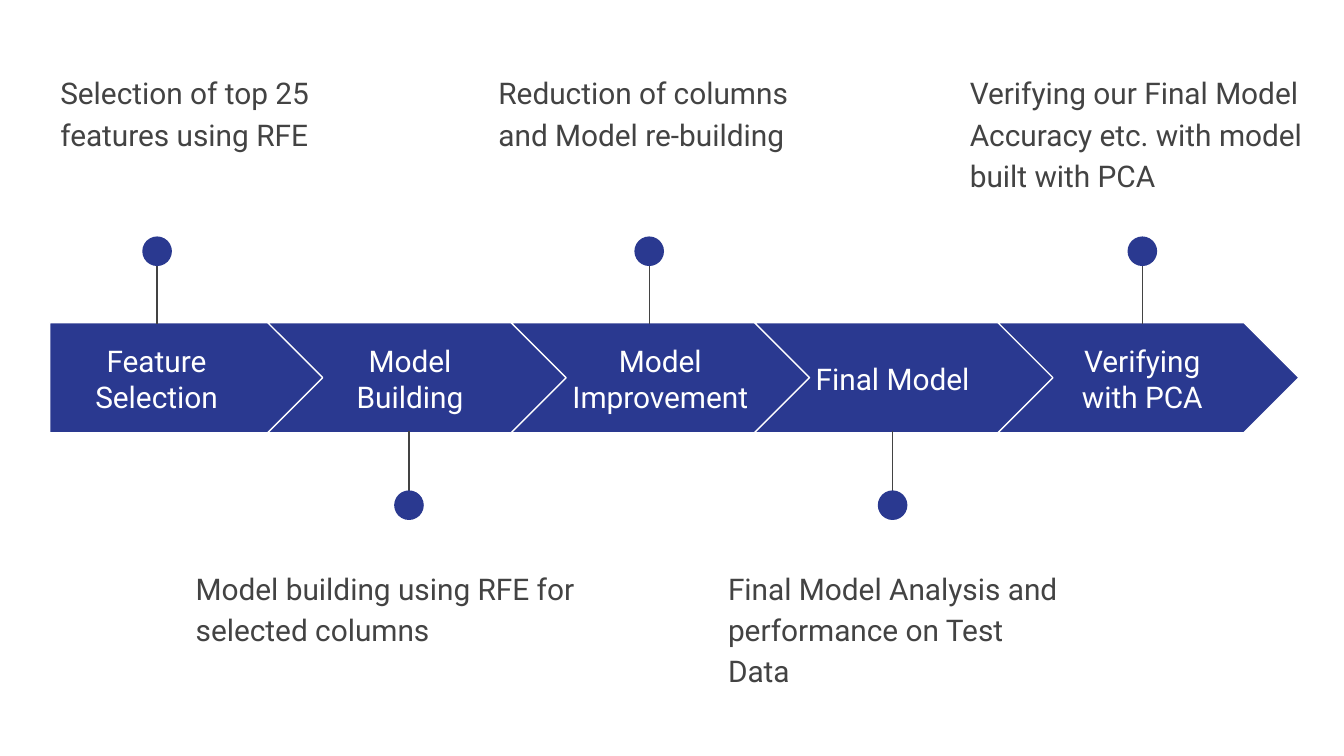
from pptx import Presentation
from pptx.dml.color import RGBColor
from pptx.enum.shapes import MSO_CONNECTOR, MSO_SHAPE
from pptx.enum.text import MSO_ANCHOR, PP_ALIGN
from pptx.oxml.ns import qn
from pptx.util import Cm, Pt

PENTAGON, CHEVRON, OVAL = MSO_SHAPE.PENTAGON, MSO_SHAPE.CHEVRON, MSO_SHAPE.OVAL
STRAIGHT = MSO_CONNECTOR.STRAIGHT
TOP, MIDDLE = MSO_ANCHOR.TOP, MSO_ANCHOR.MIDDLE
LEFT, CENTER = PP_ALIGN.LEFT, PP_ALIGN.CENTER

COLORS = {"blue": "2A3990", "white": "FFFFFF", "gray": "434343"}

BAND_TOP, BAND_HEIGHT = 6.1, 2.08
FIRST_LEFT, FIRST_WIDTH = 0.94, 5.21
CHEVRON_START, CHEVRON_STEP, CHEVRON_WIDTH = 0.46, 4.6, 5.69
LABEL_TOP, LABEL_HEIGHT = 6.5, 1.3
NOTE_HEIGHT, DOT_SIZE = 2.51, 0.56

# Vertical places of the pin and note, above and below the band
ABOVE = {"line": (4.57, 6.12), "dot": 4.47, "note": 1.07}
BELOW = {"line": (9.7, 8.15), "dot": 9.27, "note": 10.44}

# label, label left, label width, pin centre, note, note left, note width
STEPS = [
    ("Feature Selection", 0.94, 4.04, 2.97,
     "Selection of top 25 features using RFE", 0.89, 6.22),
    ("Model Building", 5.92, 3.66, 7.73,
     "Model building using RFE for selected columns", 3.45, 8.53),
    ("Model Improvement", 10.46, 4.04, 12.27,
     "Reduction of columns and Model re-building", 9.17, 6.22),
    ("Final Model", 15.04, 3.66, 16.87,
     "Final Model Analysis and performance on Test Data", 13.51, 6.96),
    ("Verifying with PCA", 19.76, 3.66, 21.59,
     "Verifying our Final Model Accuracy etc. with model built with PCA",
     18.08, 6.96),
]


class ProcessSlide:
    font, size, line_width, inset = "Roboto", Pt(16), Pt(0.75), Cm(0.25)

    def __init__(self, page):
        self.page = page

    def color(self, name):
        return RGBColor.from_string(COLORS[name])

    def shape(self, kind, left, top, width, height, outline=None):
        shape = self.page.shapes.add_shape(
            kind, Cm(left), Cm(top), Cm(width), Cm(height))
        shape.shadow.inherit = False
        shape.fill.solid()
        shape.fill.fore_color.rgb = self.color("blue")
        if outline:
            shape.line.color.rgb = self.color(outline)
            shape.line.width = self.line_width
        else:
            shape.line.fill.background()

    def text(self, words, left, top, width, height, color, align, anchor):
        box = self.page.shapes.add_textbox(
            Cm(left), Cm(top), Cm(width), Cm(height))
        frame = box.text_frame
        frame.word_wrap = True
        frame.vertical_anchor = anchor
        frame.margin_left = frame.margin_right = self.inset
        frame.margin_top = frame.margin_bottom = self.inset
        frame.text = words
        para = frame.paragraphs[0]
        para.alignment = align
        span = para.runs[0]
        span.font.name = self.font
        span.font.size = self.size
        span.font.color.rgb = self.color(color)
        return para

    def label(self, words, left, width):
        self.text(words, left, LABEL_TOP, width, LABEL_HEIGHT,
                  "white", CENTER, MIDDLE)

    def note(self, words, left, top, width):
        para = self.text(words, left, top, width, NOTE_HEIGHT,
                         "gray", LEFT, TOP)
        para.line_spacing = 1.15
        para.space_after = Pt(16)

    def pin(self, center, side):
        start, end = side["line"]
        line = self.page.shapes.add_connector(
            STRAIGHT, Cm(center), Cm(start), Cm(center), Cm(end))
        line.line.color.rgb = self.color("gray")
        line.line.width = self.line_width
        properties = line._element.spPr
        properties.append(properties.makeelement(qn("a:effectLst"), {}))
        self.shape(OVAL, center - DOT_SIZE / 2, side["dot"],
                   DOT_SIZE, DOT_SIZE)

    def arrow(self, index):
        """Draw the first step as a pentagon and later steps as chevrons."""
        if index == 0:
            kind, left, width = PENTAGON, FIRST_LEFT, FIRST_WIDTH
        else:
            kind, width = CHEVRON, CHEVRON_WIDTH
            left = CHEVRON_START + index * CHEVRON_STEP
        self.shape(kind, left, BAND_TOP, width, BAND_HEIGHT, "white")


def main():
    deck = Presentation()
    deck.slide_width, deck.slide_height = Cm(25.4), Cm(14.29)
    blank = deck.slide_layouts[6]
    process = ProcessSlide(deck.slides.add_slide(blank))
    for index, step in enumerate(STEPS):
        label, label_left, label_width, center, note, note_left, note_width = step
        side = BELOW if index % 2 else ABOVE
        process.arrow(index)
        process.label(label, label_left, label_width)
        process.pin(center, side)
        process.note(note, note_left, side["note"], note_width)
    deck.save("out.pptx")


if __name__ == "__main__":
    main()
